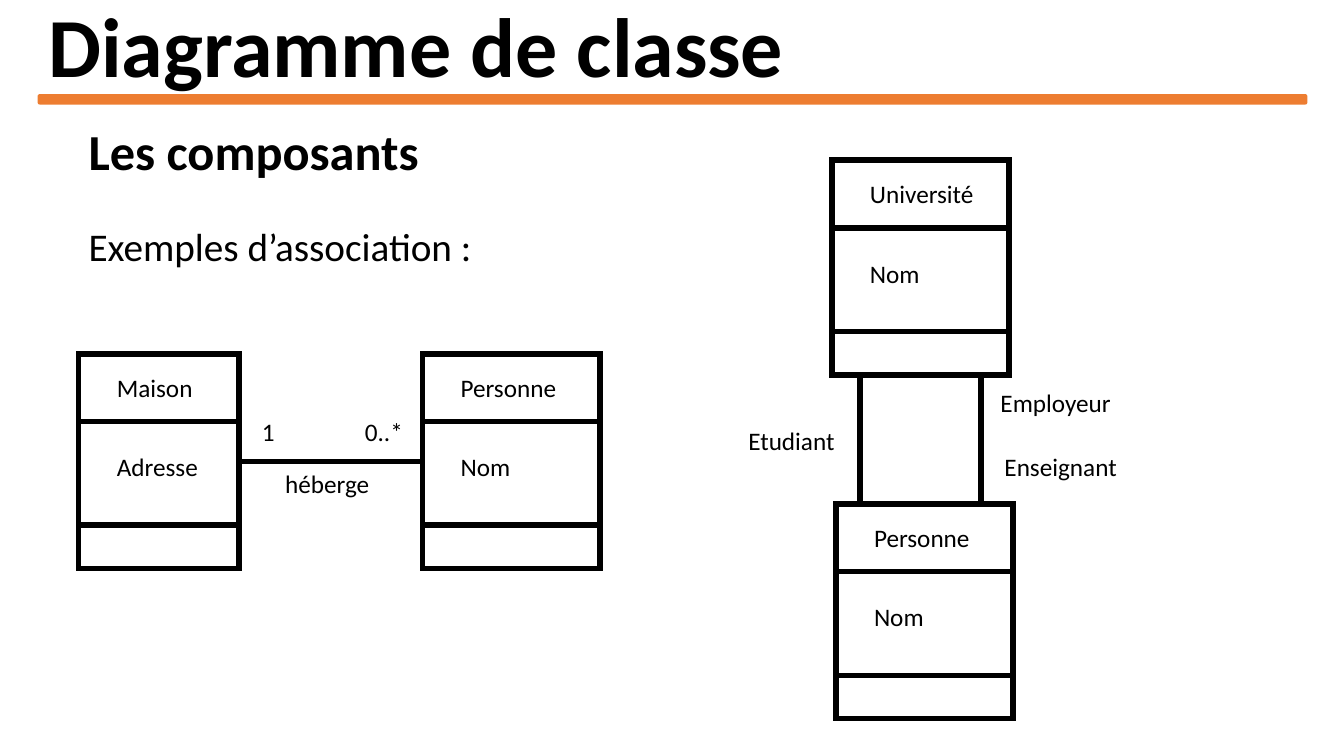
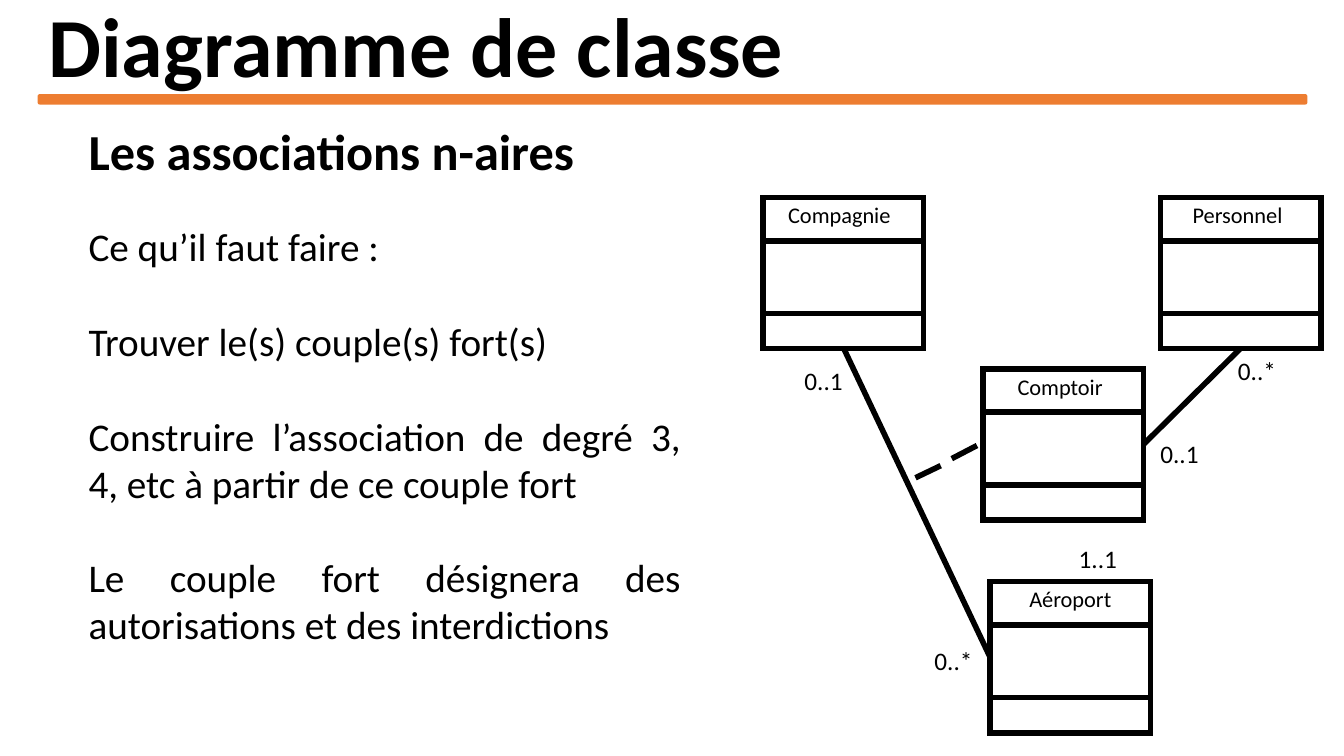
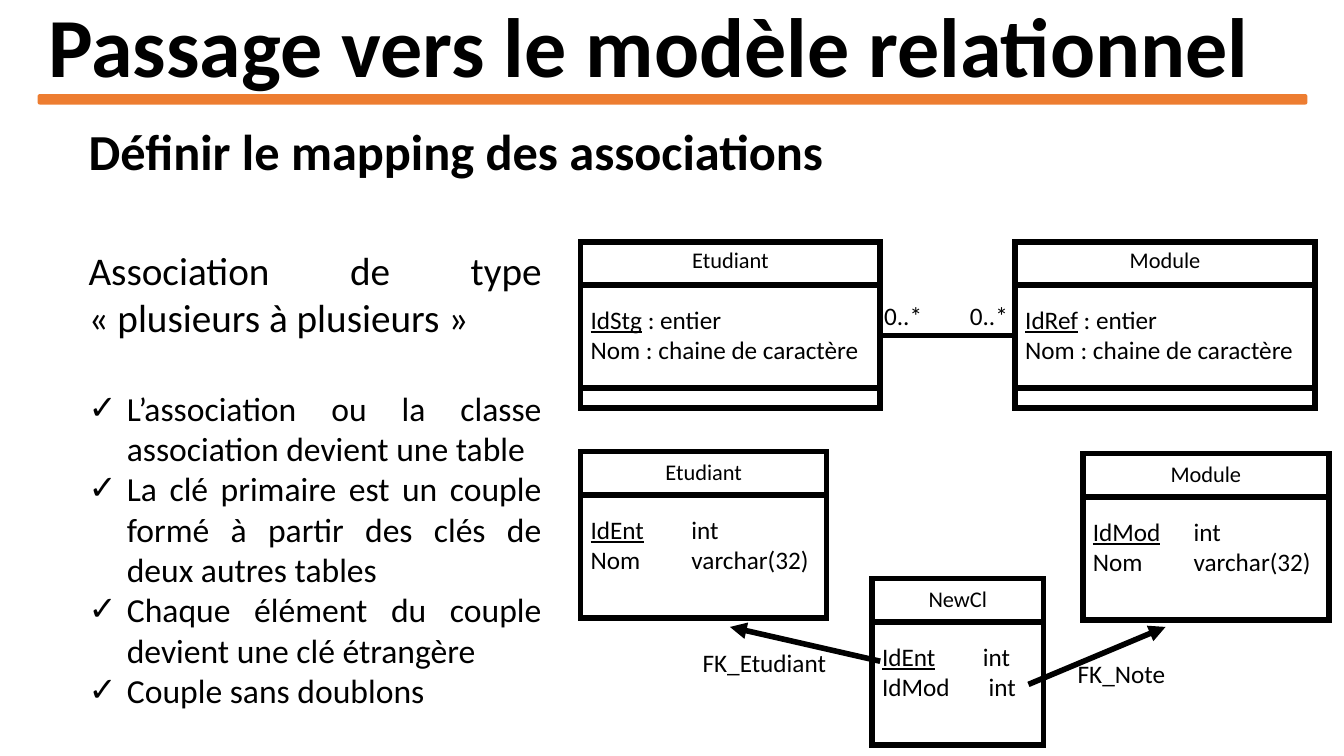
from lxml import etree
from pptx import Presentation
from pptx.dml.color import RGBColor
from pptx.enum.shapes import MSO_CONNECTOR, MSO_SHAPE
from pptx.enum.text import MSO_ANCHOR, MSO_AUTO_SIZE, PP_ALIGN
from pptx.oxml.ns import qn
from pptx.util import Inches, Pt

LEFT, CENTER, JUSTIFY = PP_ALIGN.LEFT, PP_ALIGN.CENTER, PP_ALIGN.JUSTIFY
RECTANGLE, ROUNDED = MSO_SHAPE.RECTANGLE, MSO_SHAPE.ROUNDED_RECTANGLE
STRAIGHT = MSO_CONNECTOR.STRAIGHT
MIDDLE = MSO_ANCHOR.MIDDLE
FIXED, GROW = MSO_AUTO_SIZE.NONE, MSO_AUTO_SIZE.SHAPE_TO_FIT_TEXT

FONT = "Calibri"
COLORS = {"ink": "000000", "paper": "FFFFFF", "accent": "ED7D31"}
WIDTH, HEIGHT = 13.33, 7.5
BAND_LEFT, BAND_WIDTH = 0.38, 12.58
TEXT_LEFT = 0.78
STROKE = 4
BLANK_LINE = 34
HANG = 0.38
TYPE_TAB = 1

# Class box styles: offsets are measured from the top left of the box.
STYLES = {
    "roomy": {"height": 2.13, "dividers": (0.67, 1.7), "inset": 0.28,
              "name_top": 0.13, "name_size": 18, "align": LEFT, "body_top": 0.92},
    "compact": {"height": 1.5, "dividers": (0.43, 1.15), "inset": 0,
                "name_top": -0.01, "name_size": 16, "align": CENTER, "body_top": 0.57},
    "entity": {"height": 1.65, "dividers": (0.43, 1.45), "inset": 0,
               "name_top": -0.01, "name_size": 16, "align": CENTER, "body_top": 0.57},
    "table": {"height": 1.65, "dividers": (0.43,), "inset": 0,
              "name_top": 0.02, "name_size": 16, "align": CENTER, "body_top": 0.57},
}

# classes: style, left, top, width, name, members, width of the name (None: whole box)
# A member given as a pair starts with its underlined key.
# links: x1, y1, x2, y2; labels: text, left, top, width, alignment
PAGES = [
    {
        "title": "Diagramme de classe",
        "heading": "Les composants",
        "body": {"top": 2.16, "width": 4.48, "height": 0.57,
                 "paras": ["Exemples d’association :"]},
        "classes": [
            ("roomy", 0.78, 3.51, 1.59, "Maison", ["Adresse"], None),
            ("roomy", 4.19, 3.51, 1.76, "Personne", ["Nom"], None),
            ("roomy", 8.25, 1.59, 1.76, "Université", ["Nom"], None),
            ("roomy", 8.29, 5, 1.76, "Personne", ["Nom"], None),
        ],
        "links": [(2.37, 4.58, 4.19, 4.58), (8.53, 3.75, 8.53, 5), (9.73, 3.75, 9.73, 5)],
        "labels": [
            ("1", 2.5, 4.08, 0.6, LEFT),
            ("0..*", 3.52, 4.08, 0.67, LEFT),
            ("héberge", 2.45, 4.6, 1.59, CENTER),
            ("Etudiant", 7.25, 4.17, 1.2, CENTER),
            ("Employeur", 9.73, 3.79, 1.48, CENTER),
            ("Enseignant", 9.78, 4.43, 1.48, CENTER),
        ],
    },
    {
        "title": "Diagramme de classe",
        "heading": "Les associations n-aires",
        "body": {"top": 2.16, "width": 6.07, "height": 4.34, "paras": [
            "Ce qu’il faut faire :",
            "Trouver le(s) couple(s) fort(s)",
            "Construire l’association de degré 3, 4, etc à partir de ce couple fort",
            "Le couple fort désignera des autorisations et des interdictions",
        ]},
        "classes": [
            ("compact", 7.57, 1.96, 1.59, "Compagnie", [], 1.51),
            ("compact", 9.82, 5.77, 1.59, "Aéroport", [], None),
            ("compact", 11.51, 1.96, 1.59, "Personnel", [], 1.53),
            ("compact", 9.75, 3.66, 1.59, "Comptoir", [], 1.53),
        ],
        "links": [(9.82, 6.52, 8.37, 3.46), (12.3, 3.46, 11.34, 4.41),
                  (9.33, 4.62, 9.08, 4.74), (9.69, 4.42, 9.44, 4.55)],
        "labels": [
            ("0..*", 9.17, 6.35, 0.67, LEFT),
            ("0..1", 7.88, 3.58, 0.67, LEFT),
            ("0..1", 11.41, 4.3, 0.67, LEFT),
            ("1..1", 10.6, 5.34, 0.67, LEFT),
            ("0..*", 12.18, 3.48, 0.67, LEFT),
        ],
    },
    {
        "title": "Passage vers le modèle relationnel",
        "heading": "Définir le mapping des associations",
        "body": {"top": 2.39, "width": 4.69, "height": 4.88,
                 "paras": ["Association de type «\u00a0plusieurs à plusieurs\u00a0»"],
                 "bullets": [
                     "L’association ou la classe association devient une table",
                     "La clé primaire est un couple formé à partir des clés de deux autres tables",
                     "Chaque élément du couple devient une clé étrangère",
                     "Couple sans doublons",
                 ]},
        "classes": [
            ("entity", 5.76, 2.4, 2.97, "Etudiant",
             [("IdStg", " : entier"), "Nom : chaine de caractère"], None),
            ("entity", 10.07, 2.4, 2.97, "Module",
             [("IdRef", " : entier"), "Nom : chaine de caractère"], None),
            ("table", 5.76, 4.48, 2.44, "Etudiant",
             [("IdEnt", "\tint"), "Nom\tvarchar(32)"], None),
            ("table", 8.65, 5.74, 1.7, "NewCl",
             [("IdEnt", "\tint"), "IdMod\t int"], None),
            ("table", 10.74, 4.5, 2.44, "Module",
             [("IdMod", "\tint"), "Nom\tvarchar(32)"], None),
        ],
        "links": [(8.73, 3.33, 10.07, 3.33)],
        "arrows": [(8.73, 6.56, 7.24, 6.22), (10.2, 6.79, 11.56, 6.22)],
        "labels": [
            ("0..*", 8.67, 2.93, 0.68, LEFT),
            ("0..*", 9.52, 2.93, 0.68, LEFT),
            ("FK_Etudiant", 6.87, 6.37, 1.55, LEFT),
            ("FK_Note", 10.59, 6.48, 1.55, LEFT),
        ],
    },
]


def color(name):
    return RGBColor.from_string(COLORS[name])


def add_bullet(para):
    props = para._p.get_or_add_pPr()
    props.set("marL", str(Inches(HANG)))
    props.set("indent", str(-Inches(HANG)))
    etree.SubElement(props, qn("a:buFont")).set("typeface", FONT)
    etree.SubElement(props, qn("a:buChar")).set("char", "✓")


def add_tab_stop(para, position):
    stops = etree.SubElement(para._p.get_or_add_pPr(), qn("a:tabLst"))
    etree.SubElement(stops, qn("a:tab"), pos=str(Inches(position)), algn="l")


def write_para(frame, content, size=18, bold=False, align=LEFT, bullet=False, before=0):
    """Fill the empty first paragraph or add one; a pair starts with an underlined key."""
    para = frame.paragraphs[0]
    if para.runs:
        para = frame.add_paragraph()
    para.alignment = align
    if before:
        para.space_before = Pt(before)
    if bullet:
        add_bullet(para)
    key, rest = content if isinstance(content, tuple) else ("", content)
    if "\t" in rest:
        add_tab_stop(para, TYPE_TAB)
    for text, underlined in ((key, True), (rest, False)):
        if not text:
            continue
        span = para.add_run()
        span.text = text
        span.font.name, span.font.size, span.font.bold = FONT, Pt(size), bold
        span.font.underline = underlined
        span.font.color.rgb = color("ink")
    return para


def add_text(page, left, top, width, height, contents, **style):
    box = page.shapes.add_textbox(*map(Inches, (left, top, width, height)))
    frame = box.text_frame
    frame.word_wrap = True
    frame.auto_size = GROW
    for content in contents:
        write_para(frame, content, **style)
    return frame


def add_block(page, preset, left, top, width, height, fill, line, stroke):
    """Add a filled shape whose outline has sharp corners."""
    block = page.shapes.add_shape(preset, *map(Inches, (left, top, width, height)))
    block.shadow.inherit = False
    block.fill.solid()
    block.fill.fore_color.rgb = color(fill)
    block.line.color.rgb = color(line)
    block.line.width = Pt(stroke)
    outline = block._element.spPr.find(qn("a:ln"))
    etree.SubElement(outline, qn("a:miter")).set("lim", "800000")


def add_line(page, x1, y1, x2, y2, arrow=False):
    line = page.shapes.add_connector(STRAIGHT, *map(Inches, (x1, y1, x2, y2)))
    line.line.color.rgb = color("ink")
    line.line.width = Pt(STROKE)
    props = line._element.spPr
    if arrow:
        etree.SubElement(props.find(qn("a:ln")), qn("a:tailEnd")).set("type", "triangle")
    etree.SubElement(props, qn("a:effectLst"))


def add_class(page, style_name, left, top, width, name, members, name_width):
    style = STYLES[style_name]
    add_block(page, RECTANGLE, left, top, width, style["height"], "paper", "ink", STROKE)
    for offset in style["dividers"]:
        add_line(page, left, top + offset, left + width, top + offset)
    text_left, text_width = left + style["inset"], width - style["inset"]
    add_text(page, text_left, top + style["name_top"], name_width or text_width, 0.4,
             [name], size=style["name_size"], align=style["align"])
    if members:
        add_text(page, text_left, top + style["body_top"], text_width,
                 0.1 + 0.3 * len(members), members)


def add_body(page, top, width, height, paras, bullets=()):
    frame = add_text(page, TEXT_LEFT, top, width, height, paras[:1], size=28, align=JUSTIFY)
    for text in paras[1:]:
        write_para(frame, text, size=28, align=JUSTIFY, before=BLANK_LINE)
    for index, text in enumerate(bullets):
        write_para(frame, text, size=24, align=JUSTIFY, bullet=True,
                   before=0 if index else BLANK_LINE)


def add_page(deck, title, heading):
    """Add a page with the shared title, orange band and heading."""
    page = deck.slides.add_slide(deck.slide_layouts[5])
    holder = page.shapes.title
    holder.left, holder.top = Inches(BAND_LEFT), Inches(0)
    holder.width, holder.height = Inches(BAND_WIDTH), Inches(1)
    frame = holder.text_frame
    frame.word_wrap = True
    frame.auto_size = FIXED
    frame.vertical_anchor = MIDDLE
    write_para(frame, title, size=60, bold=True).line_spacing = 0.9
    add_text(page, TEXT_LEFT, 1.14, 11.78, 0.71, [heading], size=36, bold=True, align=JUSTIFY)
    add_block(page, ROUNDED, BAND_LEFT, 0.94, BAND_WIDTH, 0.09, "accent", "accent", 1)
    return page


def main():
    deck = Presentation()
    deck.slide_width, deck.slide_height = Inches(WIDTH), Inches(HEIGHT)
    for content in PAGES:
        page = add_page(deck, content["title"], content["heading"])
        add_body(page, **content["body"])
        for class_box in content["classes"]:
            add_class(page, *class_box)
        for link in content["links"]:
            add_line(page, *link)
        for arrow in content.get("arrows", ()):
            add_line(page, *arrow, arrow=True)
        for text, left, top, width, align in content["labels"]:
            add_text(page, left, top, width, 0.4, [text], align=align)
    deck.save("out.pptx")


if __name__ == "__main__":
    main()
